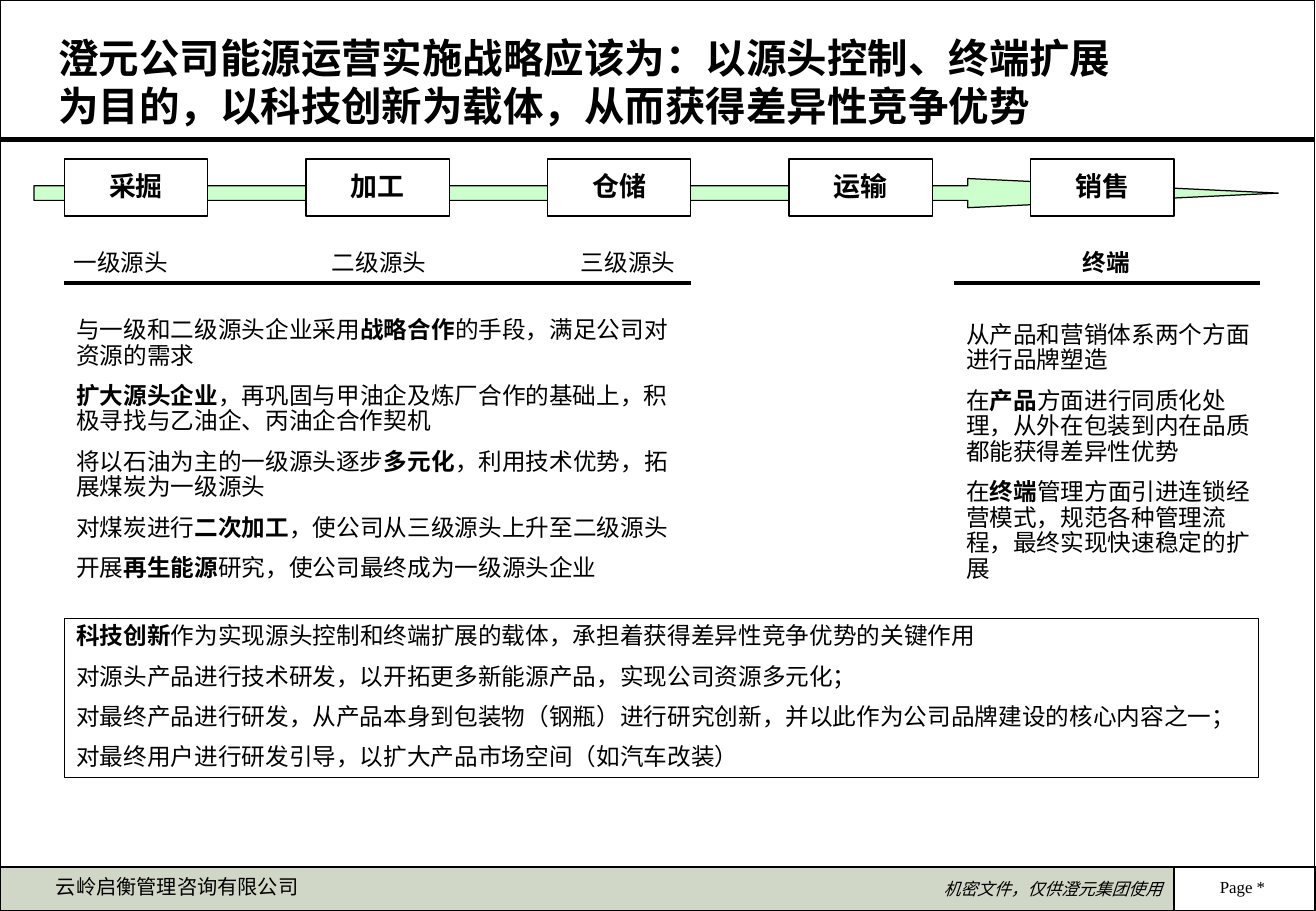
from dataclasses import dataclass, field
from typing import Any

from lxml import etree
from pptx import Presentation
from pptx import util as u
from pptx.dml.color import RGBColor
from pptx.enum import shapes, text
from pptx.oxml import ns

PX = 9144  # EMU per px, 100 px to the inch
COLORS = {"ink": "000000", "paper": "FFFFFF", "flow": "CCFFCC", "footer": "D1D7C7"}
SANS, SERIF = "Noto Sans CJK SC", "Times New Roman"
CENTER, RIGHT = text.PP_ALIGN.CENTER, text.PP_ALIGN.RIGHT
MIDDLE = text.MSO_ANCHOR.MIDDLE
RECT, ARROW = shapes.MSO_SHAPE.RECTANGLE, shapes.MSO_SHAPE.RIGHT_ARROW


@dataclass(frozen=True)
class Box:
    left: int
    top: int
    width: int
    height: int

    def emu(self) -> list[int]:
        return [u.Emu(side * PX) for side in (self.left, self.top, self.width, self.height)]


@dataclass(frozen=True)
class Style:
    size: int = 14
    font: str = SANS
    italic: bool = False
    margins: tuple[int, int] = (10, 5)
    frame: dict[str, Any] = field(default_factory=dict)
    paragraph: dict[str, Any] = field(default_factory=dict)


@dataclass(frozen=True)
class Rule:
    left: int
    right: int
    y: int
    weight: float


def spaced(before: float, **more: Any) -> dict[str, Any]:
    return {"line_spacing": 0.9, "space_before": u.Pt(before), **more}


TITLE = Style(24, margins=(20, 4), frame={"vertical_anchor": MIDDLE})
STAGE = Style(16, frame={"vertical_anchor": MIDDLE}, paragraph=spaced(10, alignment=CENTER))
LEVEL = Style(paragraph=spaced(8.8, alignment=CENTER))
BODY = Style(paragraph=spaced(8.8))
FIRM = Style(12, paragraph=spaced(7.5, alignment=CENTER))
SECRECY = Style(10, "Arial", True, frame={"vertical_anchor": MIDDLE},
                paragraph={"alignment": RIGHT})
PAGE = Style(10, SERIF, margins=(0, 0), frame={"vertical_anchor": MIDDLE},
             paragraph=spaced(6.2, alignment=CENTER))

STAGES = ["采掘", "加工", "仓储", "运输", "销售"]
LEVELS = {28: "一级源头", 241: "二级源头", 446: "三级源头", 840: "|终端|"}
RULES = [Rule(0, 1083, 115, 3), Rule(53, 569, 233, 2.25), Rule(786, 1038, 233, 2.25)]
HEADLINE = ["|澄元公司能源运营实施战略应该为：以源头控制、终端扩展为目的，"
            "以科技创新为载体，从而获得差异性竞争优势|"]
SOURCE_CONTROL = [
    "与一级和二级源头企业采用|战略合作|的手段，满足公司对资源的需求",
    "|扩大源头企业|，再巩固与甲油企及炼厂合作的基础上，积极寻找与乙油企、丙油企合作契机",
    "将以石油为主的一级源头逐步|多元化|，利用技术优势，拓展煤炭为一级源头",
    "对煤炭进行|二次加工|，使公司从三级源头上升至二级源头",
    "开展|再生能源|研究，使公司最终成为一级源头企业",
]
TERMINAL_GROWTH = [
    "从产品和营销体系两个方面进行品牌塑造",
    "在|产品|方面进行同质化处理，从外在包装到内在品质都能获得差异性优势",
    "在|终端|管理方面引进连锁经营模式，规范各种管理流程，最终实现快速稳定的扩展",
]
INNOVATION = [
    "|科技创新|作为实现源头控制和终端扩展的载体，承担着获得差异性竞争优势的关键作用",
    "对源头产品进行技术研发，以开拓更多新能源产品，实现公司资源多元化；",
    "对最终产品进行研发，从产品本身到包装物（钢瓶）进行研究创新，并以此作为公司品牌建设的核心内容之一；",
    "对最终用户进行研发引导，以扩大产品市场空间（如汽车改装）",
]


def color(name: str) -> RGBColor:
    return RGBColor.from_string(COLORS[name])


def apply(target: Any, values: dict[str, Any]) -> None:
    for name, value in values.items():
        setattr(target, name, value)


def write(shape: Any, lines: list[str], style: Style) -> None:
    """Fill a shape with paragraphs; text between bars is bold."""
    frame = shape.text_frame
    side, edge = (u.Emu(margin * PX) for margin in style.margins)
    apply(frame, {"word_wrap": True, "vertical_anchor": text.MSO_ANCHOR.TOP,
                  "margin_left": side, "margin_right": side,
                  "margin_top": edge, "margin_bottom": edge, **style.frame})
    for index, line in enumerate(lines):
        paragraph = frame.add_paragraph() if index else frame.paragraphs[0]
        apply(paragraph, {"alignment": text.PP_ALIGN.LEFT, **style.paragraph})
        paragraph._p.get_or_add_pPr().set("hangingPunct", "0")
        for part, words in enumerate(line.split("|")):
            if not words:
                continue
            run = paragraph.add_run()
            run.text = words
            apply(run.font, {"size": u.Pt(style.size), "name": style.font,
                             "bold": part % 2 == 1, "italic": style.italic})
            run.font.color.rgb = color("ink")
            east_asian = etree.SubElement(run.font._element, ns.qn("a:ea"))
            east_asian.set("typeface", SANS)


def add_text(slide: Any, box: Box, lines: list[str], style: Style) -> None:
    write(slide.shapes.add_textbox(*box.emu()), lines, style)


def add_block(slide: Any, box: Box, fill: str | None = None, weight: float = 0.75,
              kind: shapes.MSO_SHAPE = RECT) -> Any:
    block = slide.shapes.add_shape(kind, *box.emu())
    block.shadow.inherit = False
    if fill:
        block.fill.solid()
        block.fill.fore_color.rgb = color(fill)
    else:
        block.fill.background()
    block.line.color.rgb = color("ink")
    block.line.width = u.Pt(weight)
    return block


def add_rule(slide: Any, rule: Rule) -> None:
    ends = [u.Emu(side * PX) for side in (rule.left, rule.y, rule.right, rule.y)]
    line = slide.shapes.add_connector(shapes.MSO_CONNECTOR.STRAIGHT, *ends)
    line.line.color.rgb = color("ink")
    line.line.width = u.Pt(rule.weight)
    etree.SubElement(line._element.spPr, ns.qn("a:effectLst"))


def add_page_frame(slide: Any) -> None:
    add_block(slide, Box(961, 714, 123, 36), weight=1)
    secrecy = add_block(slide, Box(0, 714, 967, 36), "footer", 1)
    write(secrecy, ["机密文件，仅供澄元集团使用"], SECRECY)
    add_block(slide, Box(0, 0, 1083, 750), weight=1)
    add_text(slide, Box(0, 717, 292, 28), ["云岭启衡管理咨询有限公司"], FIRM)
    add_text(slide, Box(970, 717, 107, 28), ["Page *"], PAGE)


def add_value_chain(slide: Any) -> None:
    flow = add_block(slide, Box(28, 147, 1025, 24), "flow", kind=ARROW)
    flow.adjustments[0], flow.adjustments[1] = 0.5, 10.65
    for index, stage in enumerate(STAGES):
        block = add_block(slide, Box(53 + 199 * index, 131, 118, 47), "paper")
        write(block, [f"|{stage}|"], STAGE)
    for left, level in LEVELS.items():
        add_text(slide, Box(left, 202, 143, 31), [level], LEVEL)


def main() -> None:
    deck = Presentation()
    deck.slide_width, deck.slide_height = u.Emu(1084 * PX), u.Emu(750 * PX)
    slide = deck.slides.add_slide(deck.slide_layouts[6])
    add_page_frame(slide)
    add_text(slide, Box(28, 25, 915, 84), HEADLINE, TITLE)
    add_value_chain(slide)
    for rule in RULES:
        add_rule(slide, rule)
    add_text(slide, Box(53, 257, 516, 227), SOURCE_CONTROL, BODY)
    add_text(slide, Box(786, 261, 260, 203), TERMINAL_GROWTH, BODY)
    write(add_block(slide, Box(53, 509, 984, 131)), INNOVATION, BODY)
    deck.save("out.pptx")


if __name__ == "__main__":
    main()
